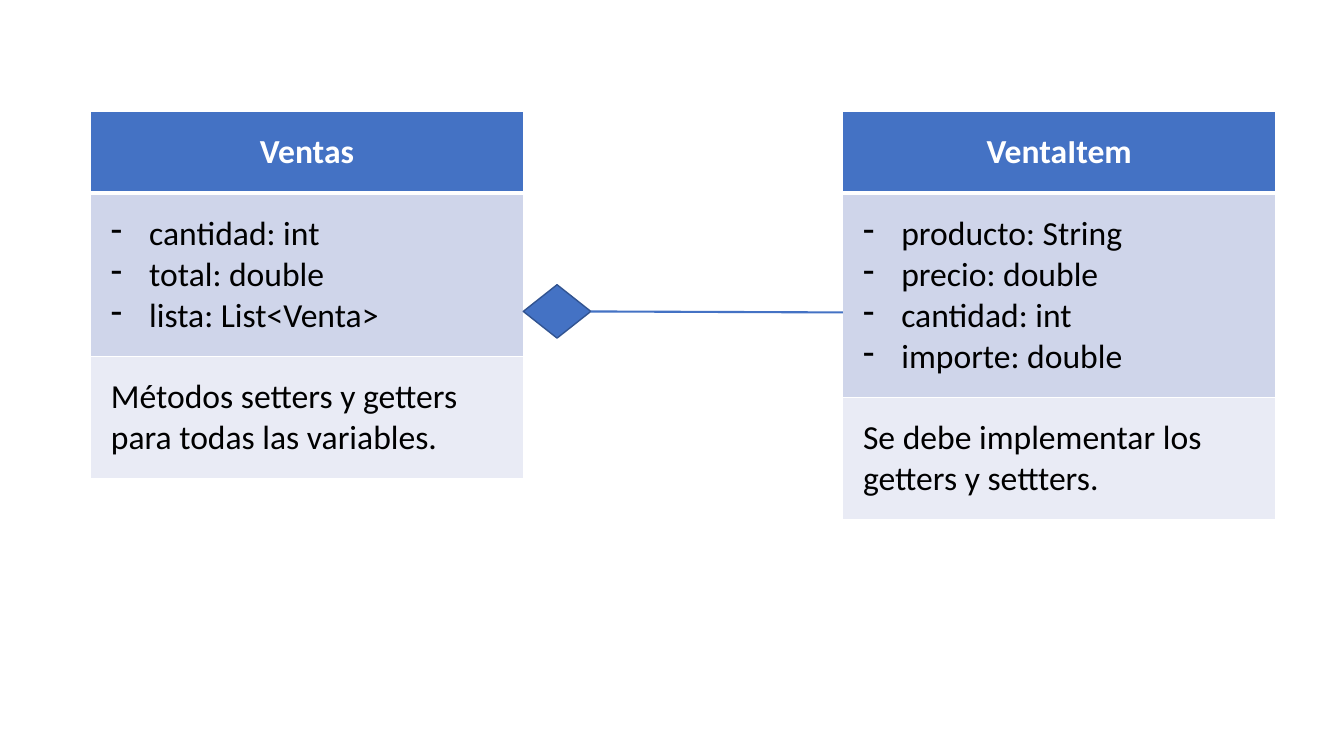
from lxml import etree
from pptx import Presentation
from pptx.dml.color import RGBColor
from pptx.enum import shapes, text
from pptx.oxml import ns
from pptx.util import Inches, Pt

BLUE = RGBColor(0x44, 0x72, 0xC4)
DARK_BLUE = RGBColor(0x32, 0x54, 0x91)
BAND = RGBColor(0xCF, 0xD5, 0xEA)
PALE = RGBColor(0xE9, 0xEB, 0xF5)
WHITE = RGBColor(0xFF, 0xFF, 0xFF)
BLACK = RGBColor(0, 0, 0)

FONT = {"name": "Calibri", "size": Pt(24)}
MARGINS = dict.fromkeys(
    ("margin_left", "margin_right", "margin_top", "margin_bottom"), Inches(0.2)
)
CLASS_WIDTH = 4.29
CLASS_TOP = 1.11
LINE_HEIGHT = 0.4
INDENT = Inches(0.38)
DIAMOND_WIDTH, DIAMOND_HEIGHT = 0.67, 0.53
LINK_Y = 3.09


def apply(target, values):
    for name, value in values.items():
        setattr(target, name, value)


def add_dash(para):
    properties = para._p.get_or_add_pPr()
    properties.set("marL", str(INDENT))
    properties.set("indent", str(-INDENT))
    etree.SubElement(properties, ns.qn("a:buFontTx"))
    etree.SubElement(properties, ns.qn("a:buChar"), char="-")


def add_borders(cell, bottom):
    properties = cell._tc.get_or_add_tcPr()
    widths = {"lnL": 1, "lnR": 1, "lnT": 1, "lnB": bottom}
    for index, (side, width) in enumerate(widths.items()):
        line = etree.Element(ns.qn(f"a:{side}"), w=str(Pt(width)))
        fill = etree.SubElement(line, ns.qn("a:solidFill"))
        etree.SubElement(fill, ns.qn("a:srgbClr"), val=str(WHITE))
        properties.insert(index, line)


def fill_cell(cell, lines, fill, color, bold=False, align=None, dashed=False, bottom=1):
    apply(cell, MARGINS)
    cell.fill.solid()
    cell.fill.fore_color.rgb = fill
    cell.text = "\n".join(lines)
    for para in cell.text_frame.paragraphs:
        para.alignment = align
        if dashed:
            add_dash(para)
        for span in para.runs:
            apply(span.font, {**FONT, "bold": bold})
            span.font.color.rgb = color
    add_borders(cell, bottom)


def add_class(page, left, top, width, title, attributes, methods):
    heights = [0.4 + LINE_HEIGHT * count for count in (1, len(attributes), 2)]
    frame = page.shapes.add_table(
        3, 1, Inches(left), Inches(top), Inches(width), Inches(sum(heights))
    )
    table = frame.table
    for row, height in zip(table.rows, heights):
        row.height = Inches(height)
    header, fields, notes = (table.cell(row, 0) for row in range(3))
    fill_cell(header, [title], BLUE, WHITE, bold=True,
              align=text.PP_ALIGN.CENTER, bottom=3)
    fill_cell(fields, attributes, BAND, BLACK, dashed=True)
    fill_cell(notes, [methods], PALE, BLACK)


def add_composition(page, left, right, middle):
    diamond = page.shapes.add_shape(
        shapes.MSO_SHAPE.DIAMOND, Inches(left), Inches(middle - DIAMOND_HEIGHT / 2),
        Inches(DIAMOND_WIDTH), Inches(DIAMOND_HEIGHT),
    )
    diamond.shadow.inherit = False
    diamond.fill.solid()
    diamond.fill.fore_color.rgb = BLUE
    diamond.line.color.rgb = DARK_BLUE
    diamond.line.width = Pt(1)
    link = page.shapes.add_connector(
        shapes.MSO_CONNECTOR.STRAIGHT, Inches(left + DIAMOND_WIDTH), Inches(middle),
        Inches(right), Inches(middle + 0.01),
    )
    link.line.color.rgb = BLUE
    link.line.width = Pt(1.5)
    etree.SubElement(link._element.spPr, ns.qn("a:effectLst"))


def build_diagram(page, left, top, right):
    add_class(
        page, right - CLASS_WIDTH, top, CLASS_WIDTH, "VentaItem",
        ["producto: String", "precio: double", "cantidad: int", "importe: double"],
        "Se debe implementar los getters y settters.",
    )
    add_class(
        page, left, top, CLASS_WIDTH, "Ventas",
        ["cantidad: int", "total: double", "lista: List<Venta>"],
        "Métodos setters y getters para todas las variables.",
    )
    add_composition(page, left + CLASS_WIDTH, right - CLASS_WIDTH, LINK_Y)


deck = Presentation()
apply(deck, {"slide_width": Inches(13.33), "slide_height": Inches(7.5)})
build_diagram(deck.slides.add_slide(deck.slide_layouts[6]), 0.9, CLASS_TOP, 12.65)
deck.save("out.pptx")
